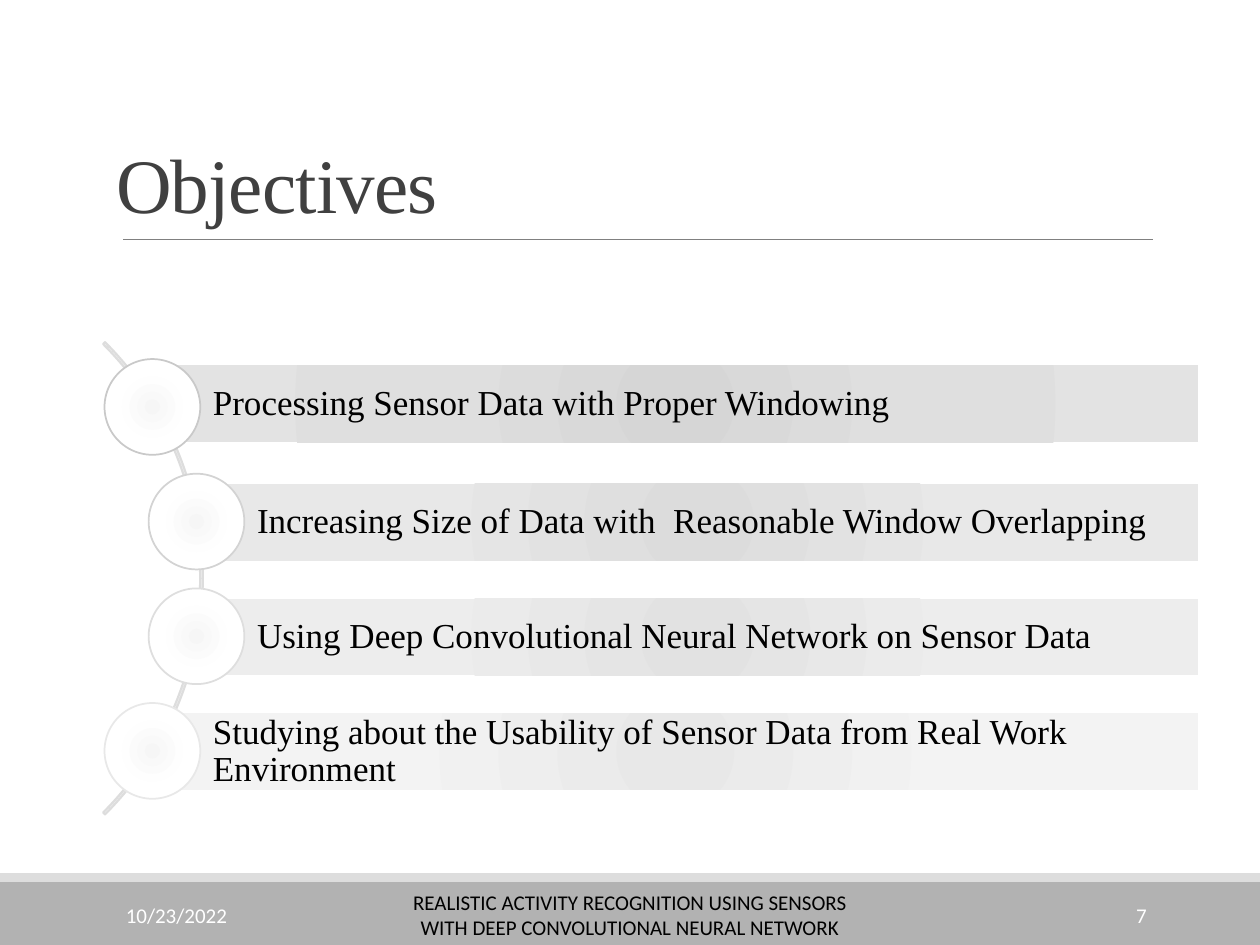
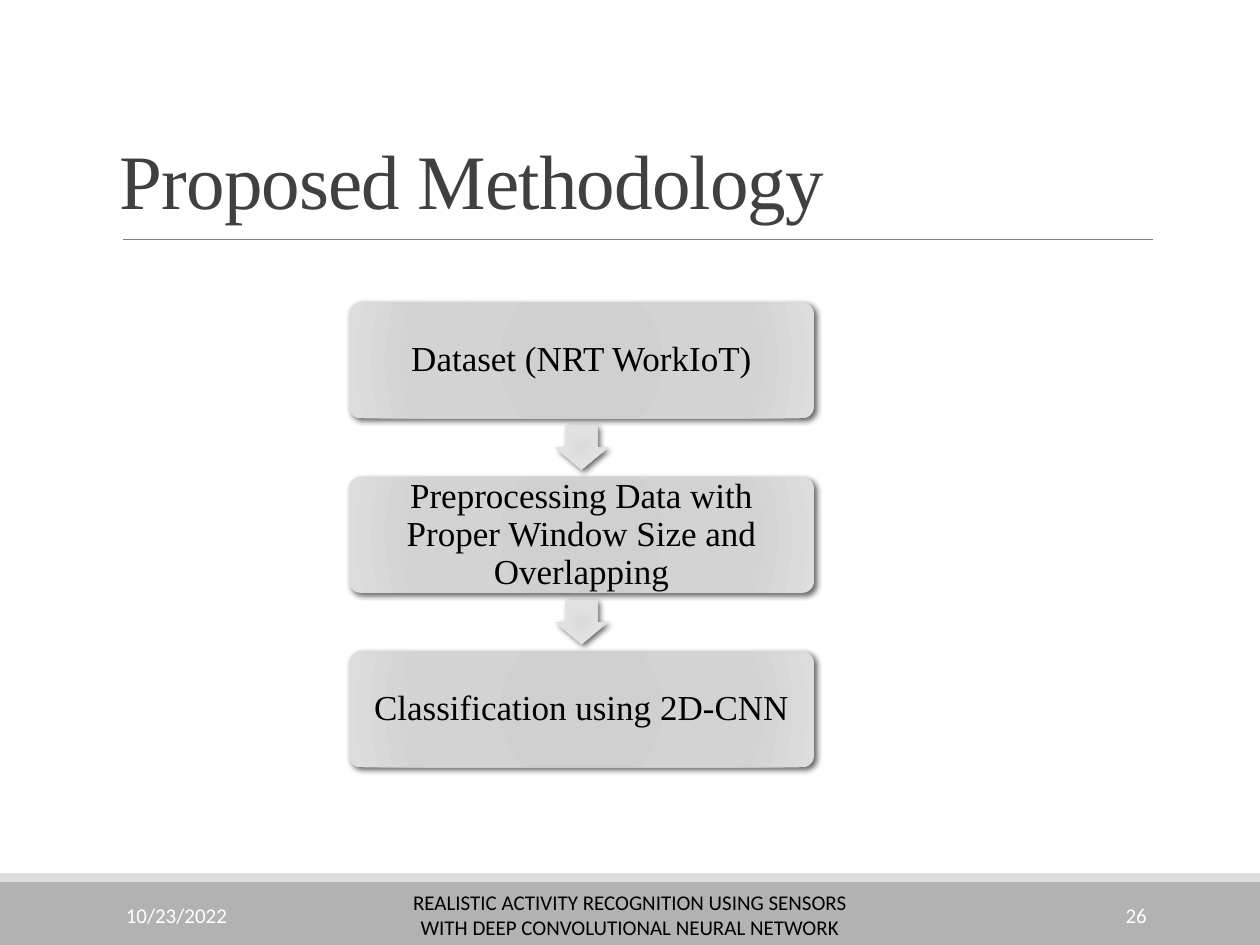
"""Builds the objectives and methodology slides of the activity recognition deck."""
from dataclasses import dataclass
from typing import Optional, Sequence

from lxml import etree
from pptx import Presentation
from pptx import util as u
from pptx.dml.color import RGBColor
from pptx.enum import shapes, text
from pptx.oxml import ns

COLUMNS, ROWS = 100, 75
WIDTH, HEIGHT = u.Inches(10), u.Inches(7.5)
SERIF, SANS = "Times New Roman", "Calibri"


def grey(level: int) -> RGBColor:
    """Return the neutral colour of one level."""
    return RGBColor(level, level, level)


BLACK, WHITE, INK = grey(0x00), grey(0xFF), grey(0x40)
BAND, STRIPE, RULE = grey(0xB2), grey(0xDD), grey(0x80)
DISC_FILL = {0: grey(0xF6), 45: grey(0xFE), 100: WHITE}
BOX_FILL = {0: grey(0xCE), 34: grey(0xD0), 70: grey(0xD3), 100: grey(0xDD)}
ARROW_FILL = {0: grey(0xDB), 34: grey(0xDE), 70: grey(0xE1), 100: grey(0xEB)}
FOOTER = "REALISTIC ACTIVITY RECOGNITION USING SENSORS WITH DEEP CONVOLUTIONAL NEURAL NETWORK"
DATE = "10/23/2022"
LEFT, CENTER, RIGHT = text.PP_ALIGN.LEFT, text.PP_ALIGN.CENTER, text.PP_ALIGN.RIGHT
SHAPE = shapes.MSO_SHAPE


@dataclass(frozen=True)
class Area:
    """A rectangle in grid columns and rows."""
    left: float
    top: float
    width: float
    height: float

    def lengths(self) -> tuple[int, int, int, int]:
        """Return the rectangle in slide units."""
        return (across(self.left), down(self.top), across(self.width), down(self.height))


@dataclass(frozen=True)
class Objective:
    """A bar with its disc; shades run from the centre of the bar to its edge."""
    words: str
    left: float
    top: float
    shades: tuple[int, int, int]
    ring: RGBColor


OBJECTIVES = (
    Objective("Processing Sensor Data with Proper Windowing",
              12.1, 29, (0xD6, 0xDF, 0xE3), grey(0xC9)),
    Objective("Increasing Size of Data with  Reasonable Window Overlapping",
              15.6, 38.4, (0xDC, 0xE5, 0xE8), grey(0xD3)),
    Objective("Using Deep Convolutional Neural Network on Sensor Data",
              15.6, 47.5, (0xE2, 0xEB, 0xED), grey(0xDE)),
    Objective("Studying about the Usability of Sensor Data from Real Work Environment",
              12.1, 56.6, (0xE8, 0xF1, 0xF3), grey(0xE8)),
)
STEPS = (
    "Dataset (NRT WorkIoT)",
    "Preprocessing Data with Proper Window Size and Overlapping",
    "Classification using 2D-CNN",
)


def across(columns: float) -> int:
    """Convert grid columns to slide units."""
    return round(columns * WIDTH / COLUMNS)


def down(rows: float) -> int:
    """Convert grid rows to slide units."""
    return round(rows * HEIGHT / ROWS)


def write(box, words: str, *, size: float = 20, font: str = SERIF, color: RGBColor = BLACK,
          align=LEFT, anchor=text.MSO_ANCHOR.MIDDLE, line: float = 1,
          insets: Sequence[float] = (0.1, 0.05, 0.1, 0.05), tracking: int = 0,
          lead: Optional[float] = None) -> None:
    """Write one paragraph, with an optional wider leading space of the given size."""
    frame = box.text_frame
    frame.word_wrap = True
    frame.auto_size = text.MSO_AUTO_SIZE.NONE
    frame.vertical_anchor = anchor
    (frame.margin_left, frame.margin_top,
     frame.margin_right, frame.margin_bottom) = map(u.Inches, insets)
    para = frame.paragraphs[0]
    para.alignment, para.line_spacing = align, line
    pieces = [(words, size, font)]
    if lead:
        pieces.insert(0, (" ", lead, SANS))
    for piece, points, face in pieces:
        span = para.add_run()
        span.text = piece
        span.font.size, span.font.name = u.Pt(points), face
        span.font.color.rgb = color
        if tracking:
            span.font._element.set("spc", str(tracking))


def fill_radial(shape, stops: dict[int, RGBColor]) -> None:
    """Fill a shape with a gradient that spreads from its centre."""
    shape.fill.background()
    blank = shape._element.spPr.find(ns.qn("a:noFill"))
    gradient = etree.Element(ns.qn("a:gradFill"), rotWithShape="1")
    stop_list = etree.SubElement(gradient, ns.qn("a:gsLst"))
    for percent, color in stops.items():
        stop = etree.SubElement(stop_list, ns.qn("a:gs"), pos=str(percent * 1000))
        etree.SubElement(stop, ns.qn("a:srgbClr"), val=str(color))
    circle = etree.SubElement(gradient, ns.qn("a:path"), path="circle")
    etree.SubElement(circle, ns.qn("a:fillToRect"), dict.fromkeys("ltrb", "100000"))
    blank.getparent().replace(blank, gradient)


def cast_shadow(shape) -> None:
    """Give a shape a soft shadow to the lower right."""
    effects = shape._element.spPr.find(ns.qn("a:effectLst"))
    shadow = etree.SubElement(effects, ns.qn("a:outerShdw"), blurRad=str(u.Pt(3.5)),
                              dist=str(u.Pt(2)), dir="2700000", algn="tl", rotWithShape="0")
    color = etree.SubElement(shadow, ns.qn("a:srgbClr"), val=str(BLACK))
    etree.SubElement(color, ns.qn("a:alpha"), val="60000")


def draw(slide, kind, area: Area, *, solid: Optional[RGBColor] = None,
         radial: Optional[dict[int, RGBColor]] = None, outline: Optional[RGBColor] = None,
         weight: float = 1, adjust: Sequence[float] = (), shadow: bool = False):
    """Draw one preset shape and return it."""
    shape = slide.shapes.add_shape(kind, *area.lengths())
    shape.shadow.inherit = False
    for index, value in enumerate(adjust):
        shape.adjustments[index] = value
    if radial:
        fill_radial(shape, radial)
    elif solid is not None:
        shape.fill.solid()
        shape.fill.fore_color.rgb = solid
    else:
        shape.fill.background()
    if outline is None:
        shape.line.fill.background()
    else:
        shape.line.color.rgb, shape.line.width = outline, u.Pt(weight)
    if shadow:
        cast_shadow(shape)
    return shape


def add_page(deck, title: str, title_area: Area, number: int, lead: Optional[float] = None):
    """Add a slide with its title, rule, bands and footer."""
    page = deck.slides.add_slide(deck.slide_layouts.get_by_name("Title Only"))
    draw(page, SHAPE.RECTANGLE, Area(0, 70, COLUMNS, 5), solid=BAND)
    draw(page, SHAPE.RECTANGLE, Area(0, 69.3, COLUMNS, 0.7), solid=STRIPE)
    rule = page.shapes.add_connector(shapes.MSO_CONNECTOR.STRAIGHT, across(9.8), down(19),
                                     across(91.5), down(19))
    rule.line.color.rgb, rule.line.width = RULE, u.Pt(0.5)
    etree.SubElement(rule._element.spPr, ns.qn("a:effectLst"))
    heading = page.shapes.title
    heading.left, heading.top, heading.width, heading.height = title_area.lengths()
    write(heading, title, size=44, color=INK, anchor=text.MSO_ANCHOR.BOTTOM, line=0.85,
          tracking=-50, lead=lead)
    for words, left, width, color, align in (
            (DATE, 9, 20.3, WHITE, LEFT),
            (FOOTER, 30.2, 39.6, BLACK, CENTER),
            (str(number), 81.2, 10.8, WHITE, RIGHT)):
        box = page.shapes.add_textbox(*Area(left, 70.6, width, 4).lengths())
        write(box, words, size=12, font=SANS, color=color, align=align)
    return page


def add_objectives(deck) -> None:
    """Add the slide with bars along an arc."""
    page = add_page(deck, "Objectives", Area(6.7, 9.4, 90, 9.4), 7, lead=48)
    draw(page, SHAPE.BLOCK_ARC, Area(-36.9, 19.4, 53, 53), outline=STRIPE, weight=1.25,
         adjust=(189, 27, 0.004))
    right_edge, disc, first_disc, pitch = 95.1, 7.6, 28.5, 9.1
    for index, goal in enumerate(OBJECTIVES):
        stops = dict(zip((0, 45, 100), map(grey, goal.shades)))
        bar = draw(page, SHAPE.RECTANGLE,
                   Area(goal.left, goal.top, right_edge - goal.left, 6.1), radial=stops)
        write(bar, goal.words, line=0.9, insets=(0.48, 0.06, 0.06, 0.06))
        draw(page, SHAPE.OVAL,
             Area(goal.left - disc / 2, first_disc + index * pitch, disc, disc),
             radial=DISC_FILL, outline=goal.ring)


def add_methodology(deck) -> None:
    """Add the slide with boxes joined by arrows."""
    page = add_page(deck, "Proposed Methodology", Area(8.5, 12.4, 90, 6), 26)
    left, first, width, height, pitch = 27.7, 24, 36.9, 9.2, 13.85
    arrow_width, arrow_height = 4.2, 3.5
    for index, step in enumerate(STEPS):
        top = first + index * pitch
        if index:
            draw(page, SHAPE.DOWN_ARROW,
                 Area(left + (width - arrow_width) / 2,
                      top - (pitch - height + arrow_height) / 2, arrow_width, arrow_height),
                 radial=ARROW_FILL, adjust=(0.6, 0.5), shadow=True)
        box = draw(page, SHAPE.ROUNDED_RECTANGLE, Area(left, top, width, height),
                   radial=BOX_FILL, adjust=(0.1,), shadow=True)
        write(box, step, align=CENTER, line=0.9, insets=(0.08,) * 4)


def main() -> None:
    """Build and save the deck."""
    deck = Presentation()
    deck.slide_width, deck.slide_height = WIDTH, HEIGHT
    add_objectives(deck)
    add_methodology(deck)
    deck.save("out.pptx")


if __name__ == "__main__":
    main()
